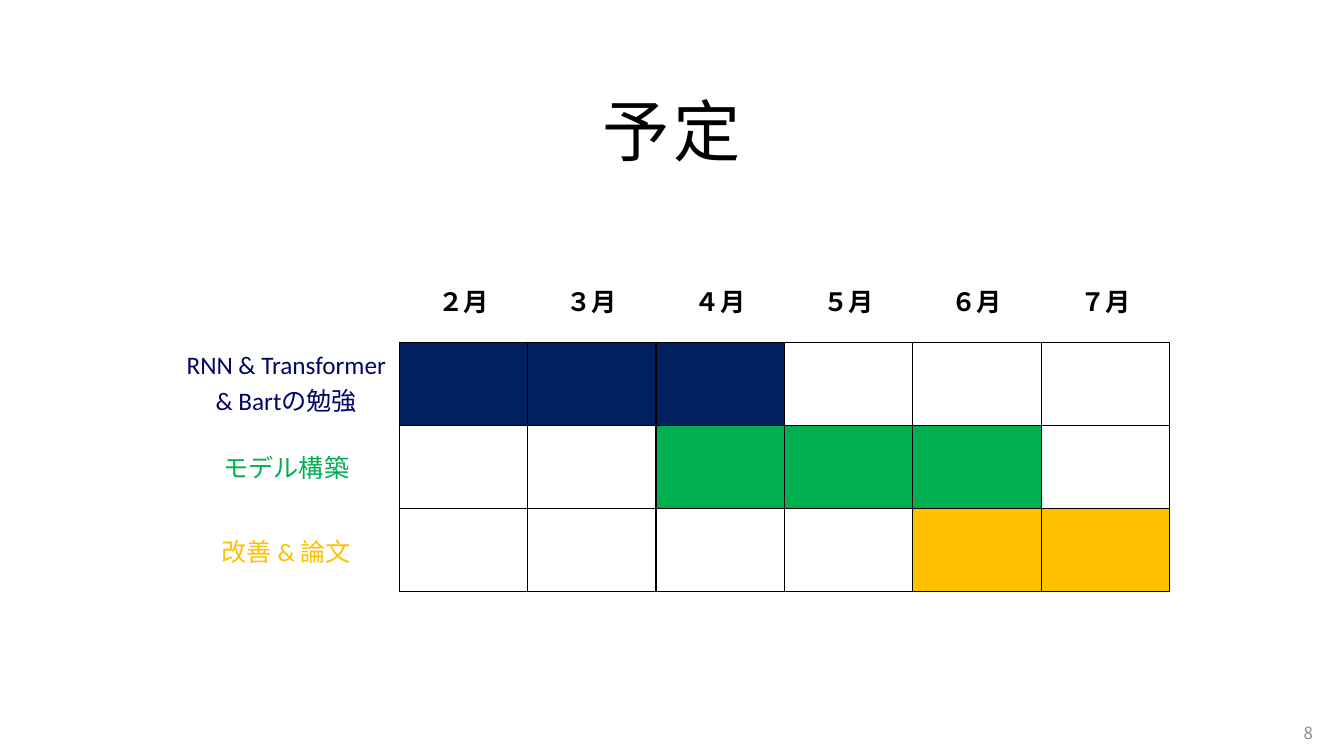
"""Build a schedule slide with a six-month Gantt table."""
from dataclasses import dataclass

from pptx import Presentation
from pptx import util as u
from pptx.dml.color import RGBColor
from pptx.enum import text
from pptx.oxml import ns
from lxml import etree


@dataclass(frozen=True)
class Theme:
    latin: str = "Calibri"
    japanese: str = "Noto Sans CJK JP"
    black: str = "000000"
    grey: str = "8C8C8C"
    title_size: int = 48
    table_size: int = 18
    number_size: int = 12
    border_width: int = 1


@dataclass(frozen=True)
class Task:
    lines: tuple[str, ...]
    text_color: str
    bar_color: str
    first_month: int
    last_month: int


THEME = Theme()
MONTHS = {2: "２月", 3: "３月", 4: "４月", 5: "５月", 6: "６月", 7: "７月"}
TASKS = (
    Task(("RNN & Transformer", "& Bartの勉強"), "020467", "002060", 2, 4),
    Task(("モデル構築",), "00B050", "00B050", 4, 6),
    Task(("改善 & 論文",), "FFC000", "FFC000", 6, 7),
)
TABLE_WIDTH, TABLE_HEIGHT, LABEL_WIDTH = 9.88, 3.3, 2.24
ALL_SIDES = "LRTB"


def write(frame, lines: tuple[str, ...], size: int, color: str, latin: str,
          align=text.PP_ALIGN.CENTER, bold: bool = False, spacing: int = 0) -> None:
    for index, line in enumerate(lines):
        paragraph = frame.add_paragraph() if index else frame.paragraphs[0]
        paragraph.alignment = align
        run = paragraph.add_run()
        run.text = line
        run.font.size = u.Pt(size)
        run.font.bold = bold
        run.font.name = latin
        run.font.color.rgb = RGBColor.from_string(color)
        properties = run._r.get_or_add_rPr()
        properties.set("spc", str(spacing * 100))
        east_asian = etree.Element(ns.qn("a:ea"), typeface=THEME.japanese)
        properties.find(ns.qn("a:latin")).addnext(east_asian)


def style_cell(cell, sides: str, fill: str = "") -> None:
    cell.vertical_anchor = text.MSO_ANCHOR.MIDDLE
    properties = cell._tc.get_or_add_tcPr()
    for side in ALL_SIDES:
        line = etree.SubElement(properties, ns.qn(f"a:ln{side}"))
        if side in sides:
            line.set("w", str(u.Pt(THEME.border_width)))
            solid = etree.SubElement(line, ns.qn("a:solidFill"))
            etree.SubElement(solid, ns.qn("a:srgbClr"), val=THEME.black)
        else:
            etree.SubElement(line, ns.qn("a:noFill"))
    if fill:
        cell.fill.solid()
        cell.fill.fore_color.rgb = RGBColor.from_string(fill)
    else:
        cell.fill.background()


def add_title(slide) -> None:
    title = slide.shapes.title
    title.left, title.top = u.Inches(0.65), u.Inches(0.84)
    title.width, title.height = u.Inches(12.03), u.Inches(0.9)
    title.text_frame.vertical_anchor = text.MSO_ANCHOR.MIDDLE
    write(title.text_frame, ("予定",), THEME.title_size, THEME.black,
          THEME.japanese, spacing=3)


def add_slide_number(slide) -> None:
    box = slide.shapes.add_textbox(u.Inches(12.63), u.Inches(7.07),
                                   u.Inches(0.49), u.Inches(0.4))
    box.text_frame.word_wrap = True
    box.text_frame.vertical_anchor = text.MSO_ANCHOR.MIDDLE
    write(box.text_frame, ("8",), THEME.number_size, THEME.grey,
          THEME.japanese, align=text.PP_ALIGN.RIGHT)


def add_schedule(slide) -> None:
    table = slide.shapes.add_table(
        len(TASKS) + 1, len(MONTHS) + 1, u.Inches(1.72), u.Inches(2.57),
        u.Inches(TABLE_WIDTH), u.Inches(TABLE_HEIGHT)).table
    table.first_row = table.horz_banding = False
    for column in table.columns:
        column.width = u.Inches((TABLE_WIDTH - LABEL_WIDTH) / len(MONTHS))
    table.columns[0].width = u.Inches(LABEL_WIDTH)

    style_cell(table.cell(0, 0), "")
    for column, name in enumerate(MONTHS.values(), 1):
        header = table.cell(0, column)
        style_cell(header, "B")
        write(header.text_frame, (name,), THEME.table_size, THEME.black,
              THEME.latin, bold=True)
    for row, task in enumerate(TASKS, 1):
        label = table.cell(row, 0)
        style_cell(label, "R")
        write(label.text_frame, task.lines, THEME.table_size,
              task.text_color, THEME.latin)
        for column, month in enumerate(MONTHS, 1):
            active = task.first_month <= month <= task.last_month
            style_cell(table.cell(row, column), ALL_SIDES,
                       task.bar_color if active else "")


def main() -> None:
    presentation = Presentation()
    presentation.slide_width = u.Inches(13.33)
    presentation.slide_height = u.Inches(7.5)
    slide = presentation.slides.add_slide(presentation.slide_layouts[5])
    add_title(slide)
    add_slide_number(slide)
    add_schedule(slide)
    presentation.save("out.pptx")


if __name__ == "__main__":
    main()
